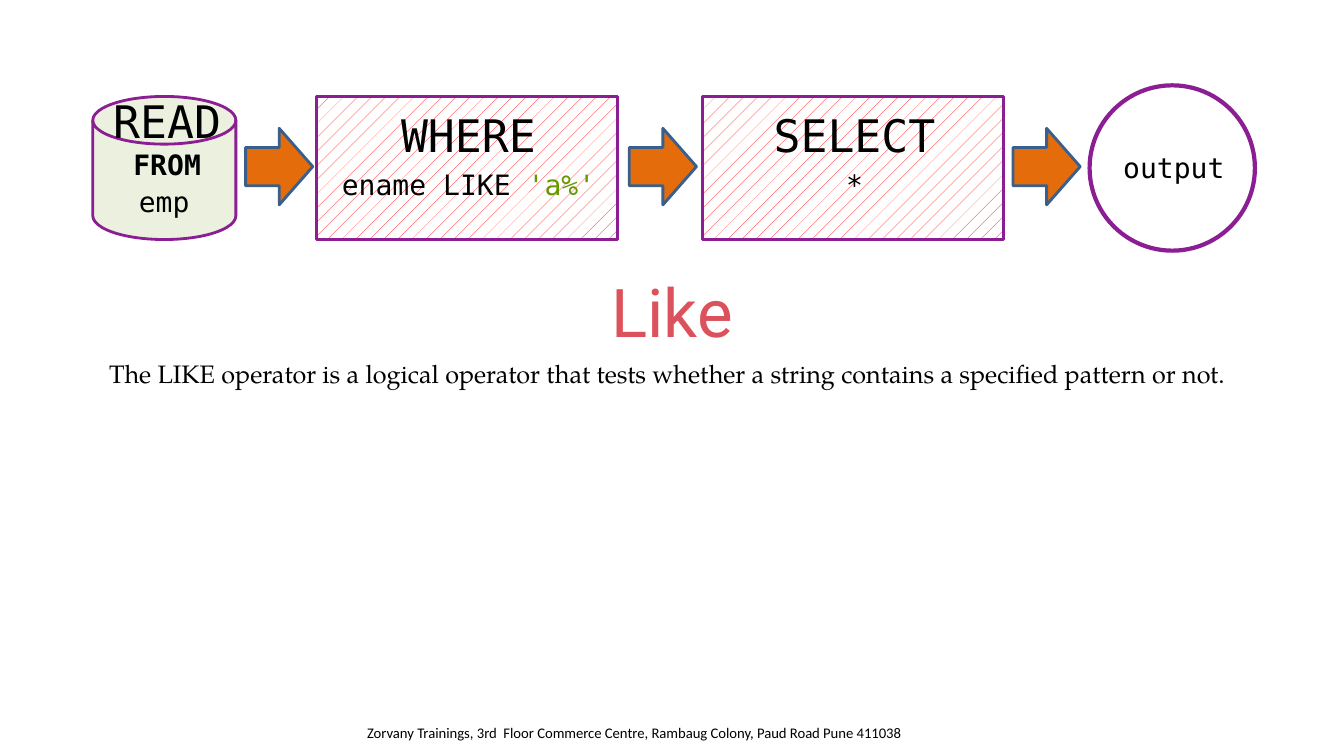
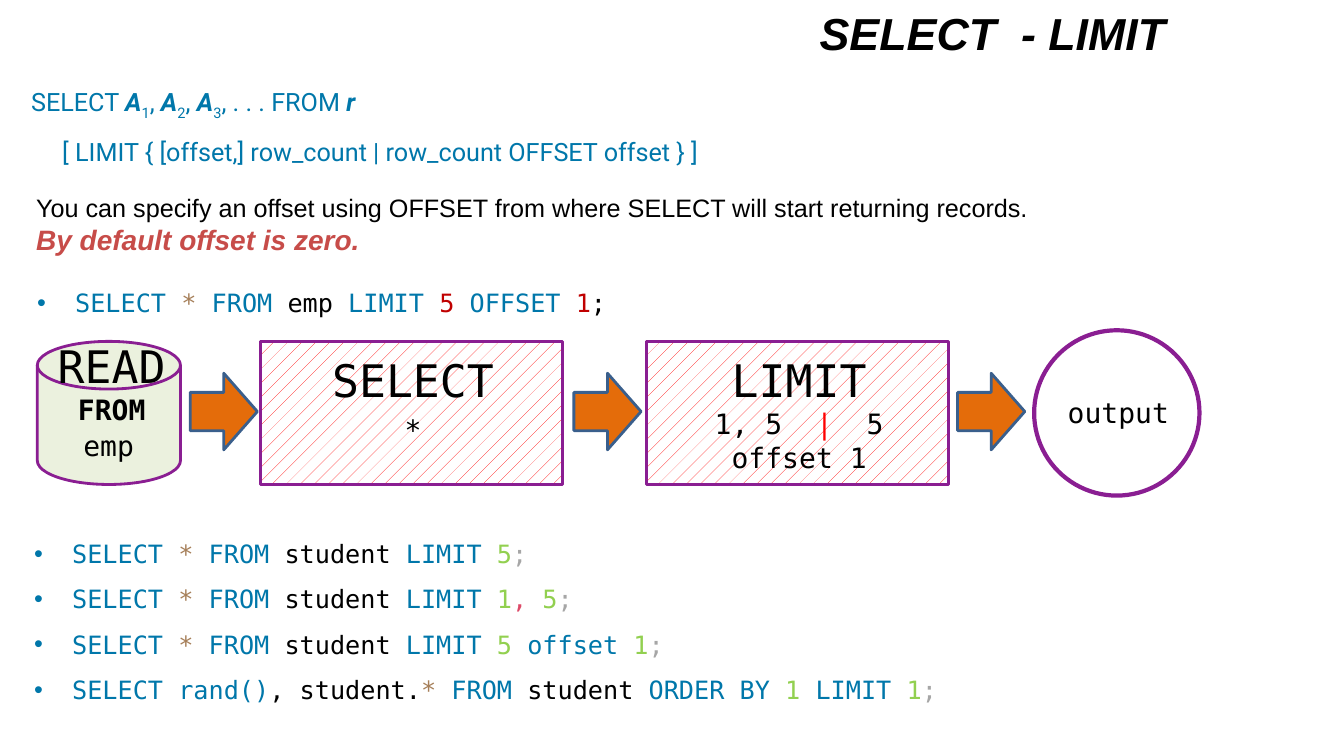
"""Build two SQL slides on the LIKE operator and the LIMIT clause."""
from dataclasses import dataclass
from typing import NamedTuple, Optional

from lxml import etree
from pptx import Presentation, util as u
from pptx.dml.color import RGBColor
from pptx.enum import dml, shapes, text
from pptx.oxml import ns

CELL = u.Pt(24)
COLUMNS, ROWS = 40, 22.5
TITLE_ONLY = 5


@dataclass(frozen=True)
class Theme:
    """Colours, fonts and type sizes shared by the slides."""
    ink: str = "000000"
    paper: str = "FFFFFF"
    heading: str = "DC525C"
    accent: str = "C74C49"
    outline: str = "8A1E92"
    hatch: str = "FF0000"
    disk: str = "EBF1DE"
    arrow: str = "E46C0A"
    arrow_edge: str = "3A5F8C"
    keyword: str = "0077AA"
    star: str = "A67F59"
    string: str = "669900"
    number: str = "92D050"
    strong_number: str = "C00000"
    comma: str = "DD4A68"
    semicolon: str = "A6A6A6"
    sans: str = "Arial"
    display: str = "Roboto"
    serif: str = "TeX Gyre Pagella"
    mono: str = "DejaVu Sans Mono"
    small: str = "Calibri"
    hero_size: float = 48
    title_size: float = 32
    label_size: float = 20
    body_size: float = 18
    footer_size: float = 10.5


THEME = Theme()


class Box(NamedTuple):
    """A rectangle in grid cells."""
    left: float
    top: float
    width: float
    height: float

    def lengths(self) -> list[u.Emu]:
        """Return left, top, width and height as lengths."""
        return [u.Emu(round(value * CELL)) for value in self]


class Run(NamedTuple):
    """Text with the formats that differ from its paragraph."""
    text: str
    color: Optional[str] = None
    bold: Optional[bool] = None
    italic: Optional[bool] = None
    size: Optional[float] = None
    subscript: bool = False


class Line(NamedTuple):
    """A paragraph and its format."""
    runs: list[Run]
    size: float = THEME.body_size
    font: str = THEME.mono
    color: str = THEME.ink
    bold: Optional[bool] = None
    italic: Optional[bool] = None
    align: text.PP_ALIGN = text.PP_ALIGN.LEFT
    spacing: Optional[float] = None
    bullet_indent: float = 0


class Stage(NamedTuple):
    """A query step with its heading and detail."""
    heading: str
    detail: list[Run]
    detail_top: float = 1.98


def label(runs: list[Run], size: float = THEME.label_size, bold: Optional[bool] = None) -> Line:
    """Return a centred monospaced line."""
    return Line(runs, size, bold=bold, align=text.PP_ALIGN.CENTER)


def set_font(font, size=None, color=None, bold=None, italic=None, name=None) -> None:
    """Set the given font properties."""
    if size:
        font.size = u.Pt(size)
    if color:
        font.color.rgb = RGBColor.from_string(color)
    if name:
        font.name = name
    font.bold, font.italic = bold, italic


def add_bullet(paragraph, indent: float) -> None:
    """Give a paragraph a hanging round bullet."""
    properties = paragraph._p.get_or_add_pPr()
    margin = round(indent * CELL)
    properties.set("marL", str(margin))
    properties.set("indent", str(-margin))
    etree.SubElement(properties, ns.qn("a:buFont")).set("typeface", THEME.sans)
    etree.SubElement(properties, ns.qn("a:buChar")).set("char", "•")


def write(frame, lines: list[Line]) -> None:
    """Write lines into a text frame."""
    for index, line in enumerate(lines):
        paragraph = frame.add_paragraph() if index else frame.paragraphs[0]
        paragraph.alignment = line.align
        if line.spacing:
            paragraph.line_spacing = line.spacing
        if line.bullet_indent:
            add_bullet(paragraph, line.bullet_indent)
        set_font(paragraph.font, line.size, line.color, line.bold, line.italic, line.font)
        for item in line.runs:
            run = paragraph.add_run()
            run.text = item.text
            set_font(run.font, item.size, item.color, item.bold, item.italic)
            if item.subscript:
                run._r.get_or_add_rPr().set("baseline", "-25000")


def add_text(parent, box: Box, lines: list[Line], grow: bool = True) -> None:
    """Add a wrapping text box."""
    frame = parent.add_textbox(*box.lengths()).text_frame
    frame.word_wrap = True
    if grow:
        frame.auto_size = text.MSO_AUTO_SIZE.SHAPE_TO_FIT_TEXT
    write(frame, lines)


def add_figure(parent, kind: shapes.MSO_SHAPE, box: Box, fill: Optional[str],
               edge: str = THEME.outline, width: float = 2):
    """Add an outlined preset shape and return it."""
    shape = parent.add_shape(kind, *box.lengths())
    shape.shadow.inherit = False
    shape.line.color.rgb = RGBColor.from_string(edge)
    shape.line.width = u.Pt(width)
    if fill:
        shape.fill.solid()
        shape.fill.fore_color.rgb = RGBColor.from_string(fill)
    else:
        shape.fill.background()
    return shape


def add_stage(parent, left: float, top: float, stage: Stage) -> None:
    """Draw a hatched step with its heading and detail."""
    shape = add_figure(parent, shapes.MSO_SHAPE.RECTANGLE, Box(left, top, 8.97, 4.26), THEME.paper)
    shape.fill.patterned()
    shape.fill.pattern = dml.MSO_PATTERN.PERCENT_5
    shape.fill.fore_color.rgb = RGBColor.from_string(THEME.hatch)
    shape.fill.back_color.rgb = RGBColor.from_string(THEME.paper)
    add_text(parent, Box(left + 0.1, top + 0.2, 8.87, 1.92),
             [label([Run(stage.heading)], THEME.title_size)])
    add_text(parent, Box(left + 0.1, top + stage.detail_top, 8.87, 1.32), [label(stage.detail)])


def add_flow(slide, left: float, top: float, stages: list[Stage]) -> None:
    """Draw the read, step and output flow as one group."""
    parent = slide.shapes.add_group_shape().shapes
    add_figure(parent, shapes.MSO_SHAPE.FLOWCHART_MAGNETIC_DISK,
               Box(left, top, 4.26, 4.26), THEME.disk)
    for index, stage in enumerate(stages):
        add_stage(parent, left + 6.65 + 11.49 * index, top, stage)
    for index in range(len(stages) + 1):
        add_figure(parent, shapes.MSO_SHAPE.RIGHT_ARROW,
                   Box(left + 4.55 + 11.42 * index, top + 0.95, 2, 2.28),
                   THEME.arrow, THEME.arrow_edge)
    add_figure(parent, shapes.MSO_SHAPE.OVAL,
               Box(left + 29.67, top - 0.33, 4.92, 4.92), None, width=3)
    add_text(parent, Box(left + 29.85, top + 1.47, 4.65, 1.32), [label([Run("output")])])
    add_text(parent, Box(left + 0.04, top - 0.24, 4.35, 2.94),
             [label([Run("READ")], THEME.title_size), label([Run("FROM")], bold=True)])
    add_text(parent, Box(left + 0.04, top + 2.46, 4.17, 1.32), [label([Run("emp")])])


def add_titled_slide(presentation, box: Box, title: Line):
    """Add a title-only slide with its title placed and formatted."""
    slide = presentation.slides.add_slide(presentation.slide_layouts[TITLE_ONLY])
    shape = slide.shapes.title
    shape.left, shape.top, shape.width, shape.height = box.lengths()
    frame = shape.text_frame
    frame.word_wrap = True
    frame.auto_size = text.MSO_AUTO_SIZE.NONE
    frame.vertical_anchor = text.MSO_ANCHOR.MIDDLE
    write(frame, [title])
    return slide


def keyword(words: str) -> Run:
    """Return a run in the keyword colour."""
    return Run(words, THEME.keyword)


def number(digits: str) -> Run:
    """Return a run in the number colour."""
    return Run(digits, THEME.number)


def select_all(table: str) -> list[Run]:
    """Return the runs that read a table up to its LIMIT."""
    return [keyword("SELECT "), Run("* ", THEME.star), keyword("FROM "),
            Run(table), keyword("LIMIT ")]


def query(runs: list[Run]) -> Line:
    """Return a bulleted line of code."""
    return Line(runs, color=THEME.keyword, spacing=1.5, bullet_indent=1.13)


def colored(runs: list[Run]) -> list[Run]:
    """Give runs without a colour the ink colour."""
    return [run if run.color else run._replace(color=THEME.ink) for run in runs]


def build_like(presentation) -> None:
    """Build the LIKE slide."""
    slide = add_titled_slide(
        presentation, Box(5.5, 7.75, 29, 3),
        Line([Run("Like")], THEME.hero_size, THEME.display, THEME.heading,
             align=text.PP_ALIGN.CENTER))
    add_text(slide.shapes, Box(2.95, 10.53, 34.1, 1.2), [Line([Run(
        "The LIKE operator is a logical operator that tests whether a string "
        "contains a specified pattern or not.")], font=THEME.serif)])
    add_text(slide.shapes, Box(10.63, 21.4, 17.73, 1.2), [Line([Run(
        "Zorvany Trainings, 3rd  Floor Commerce Centre, Rambaug Colony, "
        "Paud Road Pune 411038")], THEME.footer_size, THEME.small)], grow=False)
    add_flow(slide, 2.76, 2.87, [
        Stage("WHERE", [Run("ename LIKE "), Run("'a%'", THEME.string)]),
        Stage("SELECT", [Run("*")])])


def build_limit(presentation) -> None:
    """Build the LIMIT slide."""
    slide = add_titled_slide(
        presentation, Box(5, 0, 30, 1.92),
        Line([Run("SELECT  - LIMIT")], THEME.title_size, THEME.sans, bold=True, italic=True,
             align=text.PP_ALIGN.RIGHT))
    slide.shapes.title.fill.solid()
    slide.shapes.title.fill.fore_color.rgb = RGBColor.from_string(THEME.paper)

    syntax = [Run("SELECT ")]
    for index in range(1, 4):
        syntax += [Run("A", bold=True, italic=True), Run(str(index), subscript=True),
                   Run(", " if index < 3 else ", . . . FROM ")]
    syntax.append(Run("r", bold=True, italic=True))
    limit = [Run("     [ LIMIT { [offset,] row_count | row_count OFFSET offset } ]")]
    add_text(slide.shapes, Box(0.63, 1.92, 37.56, 2.88), [
        Line(runs, font=THEME.display, color=THEME.keyword, spacing=1.5)
        for runs in (syntax, limit)])
    add_text(slide.shapes, Box(0.78, 5.58, 31.17, 2.22), [Line([
        Run("You can specify an offset using OFFSET from where SELECT will start "
            "returning records. "),
        Run("By default offset is zero.", THEME.accent, True, True, THEME.label_size)],
        font=THEME.sans)])
    add_text(slide.shapes, Box(0.81, 7.95, 37.26, 1.53), [query(colored(
        select_all("emp ") + [Run("5 ", THEME.strong_number), keyword("OFFSET "),
                              Run("1", THEME.strong_number), Run(";")]))])
    add_flow(slide, 1.11, 10.16, [
        Stage("SELECT", [Run("*")]),
        Stage("LIMIT", [Run("1, 5  "), Run("|", THEME.hatch), Run("  5 offset 1")], 1.8)])

    student = select_all("student ")
    queries = [
        student + [number("5")],
        student + [number("1"), Run(", ", THEME.comma), number("5")],
        student + [number("5 "), keyword("offset "), number("1")],
        [keyword("SELECT rand()"), Run(", student."), *student[1:4], keyword("ORDER BY "),
         number("1 "), keyword("LIMIT "), number("1")]]
    add_text(slide.shapes, Box(0.72, 15.42, 37.26, 5.76), [
        query(colored(runs + [Run(";", THEME.semicolon)])) for runs in queries])


def main() -> None:
    """Build and save the presentation."""
    presentation = Presentation()
    presentation.slide_width = u.Emu(round(COLUMNS * CELL))
    presentation.slide_height = u.Emu(round(ROWS * CELL))
    build_like(presentation)
    build_limit(presentation)
    presentation.save("out.pptx")


if __name__ == "__main__":
    main()
